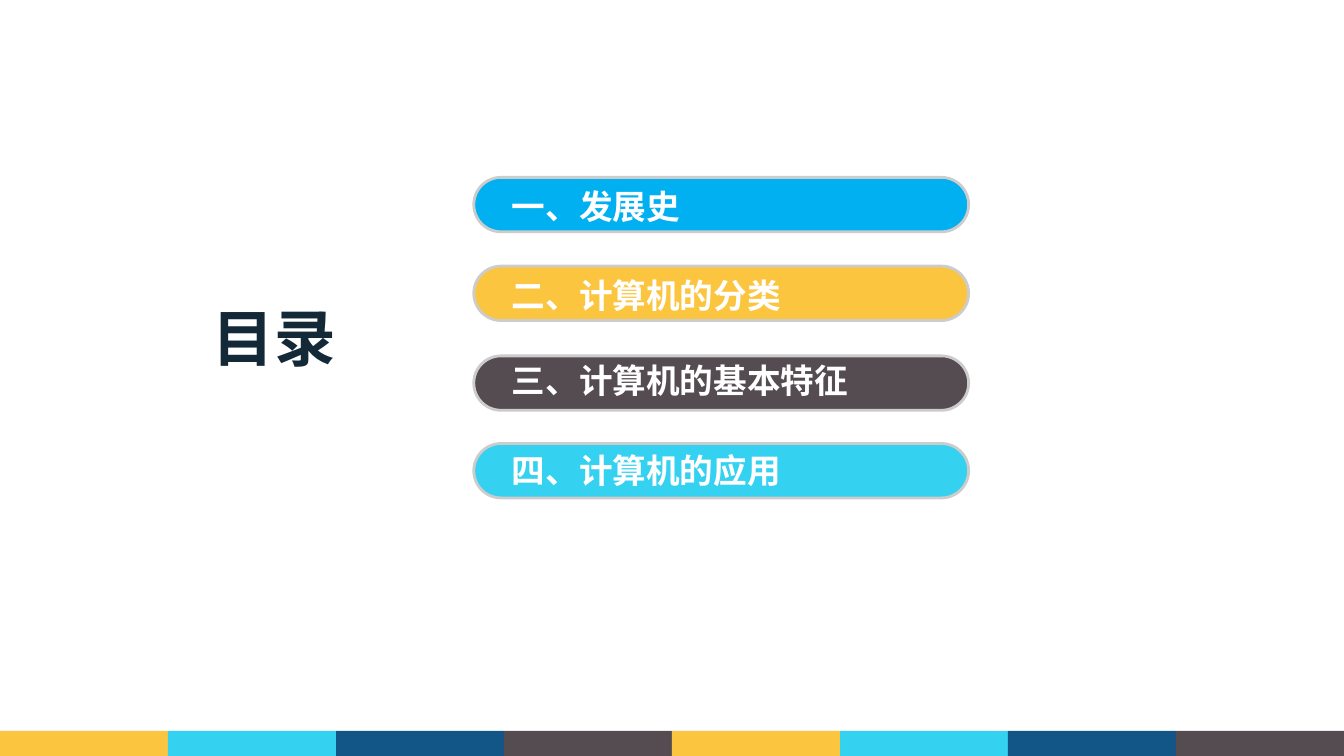
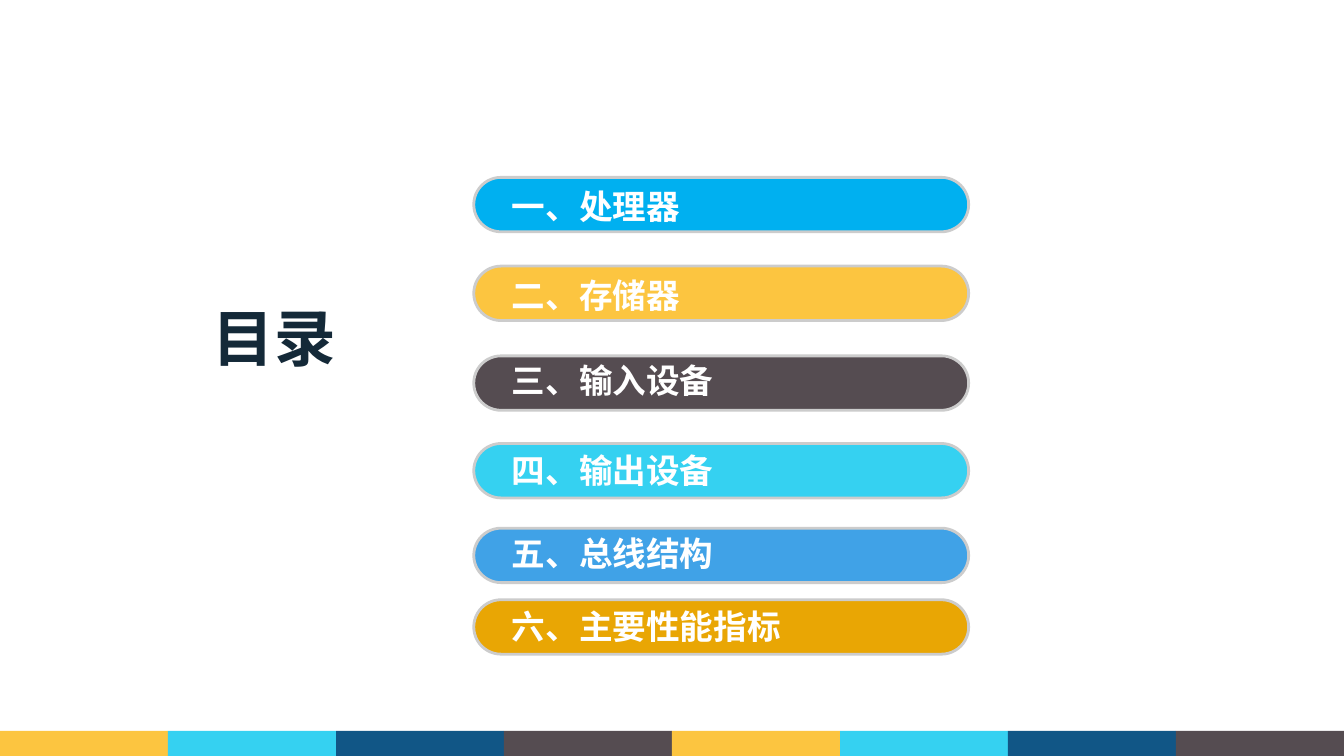
from dataclasses import dataclass

from pptx import Presentation
from pptx.dml.color import RGBColor as RGB
from pptx.enum.shapes import MSO_SHAPE as Shape
from pptx.enum.text import MSO_ANCHOR as Anchor, MSO_AUTO_SIZE as AutoSize, PP_ALIGN as Align
from pptx.util import Pt


@dataclass(frozen=True)
class Theme:
    font: str = "Noto Sans CJK SC"
    title_size: int = 44
    entry_size: int = 24
    ink: str = "142938"
    white: str = "FFFFFF"
    outline: str = "CCCCCC"
    bars: tuple = ("00B0F0", "FCC540", "554C51", "35D1F1", "40A2E7", "E9A604")
    band: tuple = ("FCC540", "35D1F1", "115686", "554C51")


theme = Theme()
WIDTH, HEIGHT = 960, 540
BAND_HEIGHT, BAND_TILES = 18, 8
BAR_LEFT, BAR_WIDTH, BAR_HEIGHT = 338.4, 353.5, 38.9
ENTRY_LEFT, ENTRY_WIDTH, ENTRY_HEIGHT = 358.6, 312.5, 36
BAR_TOPS = (126.7, 190.1, 254.2, 316.8, 377.3, 428.4)
ENTRY_TOPS = (129.6, 193, 253.4, 317.5, 377.3, 429.1)

AGENDAS = (
    ("一、发展史", "二、计算机的分类", "三、计算机的基本特征", "四、计算机的应用"),
    ("一、处理器", "二、存储器", "三、输入设备", "四、输出设备", "五、总线结构", "六、主要性能指标"),
)


def add_block(shapes, kind, left, top, width, height, color):
    block = shapes.add_shape(kind, Pt(left), Pt(top), Pt(width), Pt(height))
    block.shadow.inherit = False
    block.fill.solid()
    block.fill.fore_color.rgb = RGB.from_string(color)
    block.line.fill.background()
    return block


def write(box, text, size, color, align):
    para = box.text_frame.paragraphs[0]
    para.text = text
    para.alignment = align
    para.font.name = theme.font
    para.font.size = Pt(size)
    para.font.bold = True
    para.font.color.rgb = RGB.from_string(color)
    # East Asian characters take their typeface from a:ea
    font_xml = para.font._element
    font_xml.get_or_add_latin().addnext(
        font_xml.makeelement(font_xml.get_or_add_latin().tag.replace("latin", "ea"),
                             {"typeface": theme.font}))


deck = Presentation()
deck.slide_width, deck.slide_height = Pt(WIDTH), Pt(HEIGHT)

for entries in AGENDAS:
    page = deck.slides.add_slide(deck.slide_layouts[5])

    # Title
    title = page.shapes.title
    title.left, title.top, title.width, title.height = Pt(143.3), Pt(210.2), Pt(105.8), Pt(60.5)
    title.text_frame.word_wrap = False
    title.text_frame.auto_size = AutoSize.NONE
    title.text_frame.vertical_anchor = Anchor.MIDDLE
    write(title, "目录", theme.title_size, theme.ink, Align.CENTER)

    # Agenda bars with their entries
    for entry, color, bar_top, entry_top in zip(entries, theme.bars, BAR_TOPS, ENTRY_TOPS):
        bar = add_block(page.shapes, Shape.ROUNDED_RECTANGLE,
                        BAR_LEFT, bar_top, BAR_WIDTH, BAR_HEIGHT, color)
        bar.adjustments[0] = 0.5
        bar.line.color.rgb = RGB.from_string(theme.outline)
        bar.line.width = Pt(2)
        box = page.shapes.add_textbox(Pt(ENTRY_LEFT), Pt(entry_top),
                                      Pt(ENTRY_WIDTH), Pt(ENTRY_HEIGHT))
        box.text_frame.word_wrap = True
        box.text_frame.auto_size = AutoSize.SHAPE_TO_FIT_TEXT
        write(box, entry, theme.entry_size, theme.white, Align.LEFT)

    # Footer band
    band = page.shapes.add_group_shape()
    tile_width = WIDTH / BAND_TILES
    for index in range(BAND_TILES):
        add_block(band.shapes, Shape.RECTANGLE, index * tile_width, HEIGHT - BAND_HEIGHT,
                  tile_width, BAND_HEIGHT, theme.band[index % len(theme.band)])

deck.save("out.pptx")
